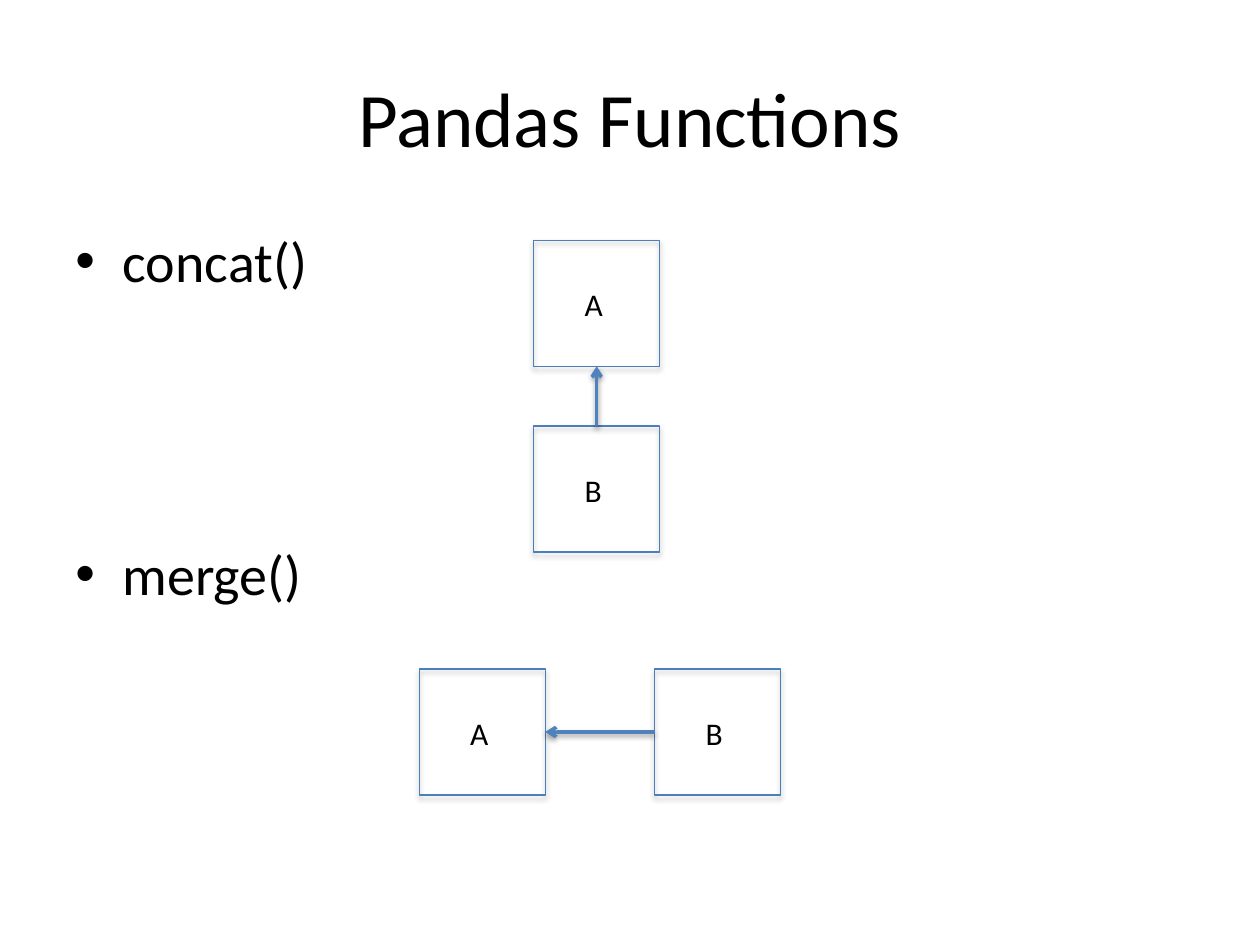
from lxml import etree
from pptx import Presentation
from pptx.dml import color
from pptx.enum import shapes, text
from pptx.oxml import ns
from pptx.util import Pt

BLACK = color.RGBColor(0x00, 0x00, 0x00)
BOX_BLUE = color.RGBColor(0x4B, 0x7E, 0xBC)
ARROW_BLUE = color.RGBColor(0x4F, 0x81, 0xBD)
SIDE = 72  # side of a frame square


def add_xml(parent, tag, **attributes):
    values = {name: str(value) for name, value in attributes.items()}
    return etree.SubElement(parent, ns.qn(tag), values)


def add_shadow(part, opacity, distance):
    effects = add_xml(part._element.spPr, "a:effectLst")
    shadow = add_xml(effects, "a:outerShdw", blurRad=Pt(3.1), dist=Pt(distance),
                     dir=90 * 60000, rotWithShape=0)
    black = add_xml(shadow, "a:srgbClr", val=BLACK)
    add_xml(black, "a:alpha", val=opacity * 1000)


def write(paragraph, words, size):
    run = paragraph.add_run()
    run.text = words
    for name, value in {"name": "Calibri", "size": Pt(size)}.items():
        setattr(run.font, name, value)
    run.font.color.rgb = BLACK


def place_title(slide, left, top, width, height):
    title = slide.shapes.title
    box = {"left": left, "top": top, "width": width, "height": height}
    for name, value in box.items():
        setattr(title, name, Pt(value))
    title.text_frame.vertical_anchor = text.MSO_ANCHOR.MIDDLE
    heading = title.text_frame.paragraphs[0]
    heading.alignment = text.PP_ALIGN.CENTER
    write(heading, "Pandas Functions", 44)


def place_functions(slide, left, top, width, height):
    frame = slide.shapes.add_textbox(*map(Pt, (left, top, width, height))).text_frame
    frame.word_wrap = True
    for index, (function, gap) in enumerate((("concat()", 0), ("merge()", 140.4))):
        item = frame.add_paragraph() if index else frame.paragraphs[0]
        item.space_before = Pt(gap)
        write(item, function, 32)
        # Hanging bullet
        layout = item._p.get_or_add_pPr()
        layout.set("marL", str(Pt(27)))
        layout.set("indent", str(Pt(-27)))
        add_xml(layout, "a:buFont", typeface="Arial")
        add_xml(layout, "a:buChar", char="•")


def place_frame(slide, left, top, label):
    square = slide.shapes.add_shape(shapes.MSO_SHAPE.RECTANGLE,
                                    *map(Pt, (left, top, SIDE, SIDE)))
    square.fill.background()
    square.line.color.rgb = BOX_BLUE
    square.line.width = Pt(0.75)
    add_shadow(square, 35, 1.8)

    caption = slide.shapes.add_textbox(*map(Pt, (left + 22, top + 22, 27, 29)))
    caption.text_frame.word_wrap = True
    write(caption.text_frame.paragraphs[0], label, 18)


def place_join(slide, left, top, step_x, step_y):
    """Frame A, frame B one step away, and an arrow from B to A."""
    place_frame(slide, left, top, "A")
    place_frame(slide, left + step_x, top + step_y, "B")

    # Arrow between the facing edges
    if step_x:
        start, end = (step_x, SIDE / 2), (SIDE, SIDE / 2)
    else:
        start, end = (SIDE / 2, step_y), (SIDE / 2, SIDE)
    points = (left + start[0], top + start[1], left + end[0], top + end[1])
    arrow = slide.shapes.add_connector(shapes.MSO_CONNECTOR.STRAIGHT, *map(Pt, points))
    arrow.line.color.rgb = ARROW_BLUE
    arrow.line.width = Pt(2)
    add_xml(arrow.line._get_or_add_ln(), "a:tailEnd", type="arrow")
    add_shadow(arrow, 38, 1.6)


deck = Presentation()
deck.slide_width, deck.slide_height = Pt(720), Pt(540)
slide = deck.slides.add_slide(deck.slide_layouts[5])

place_title(slide, 36, 21.6, 648, 90)
place_functions(slide, 36, 126, 648, 356.4)
place_join(slide, 305, 137.3, 0, 106.2)   # concat: stacked
place_join(slide, 239.6, 382.3, 134.6, 0)  # merge: side by side

deck.save("out.pptx")
